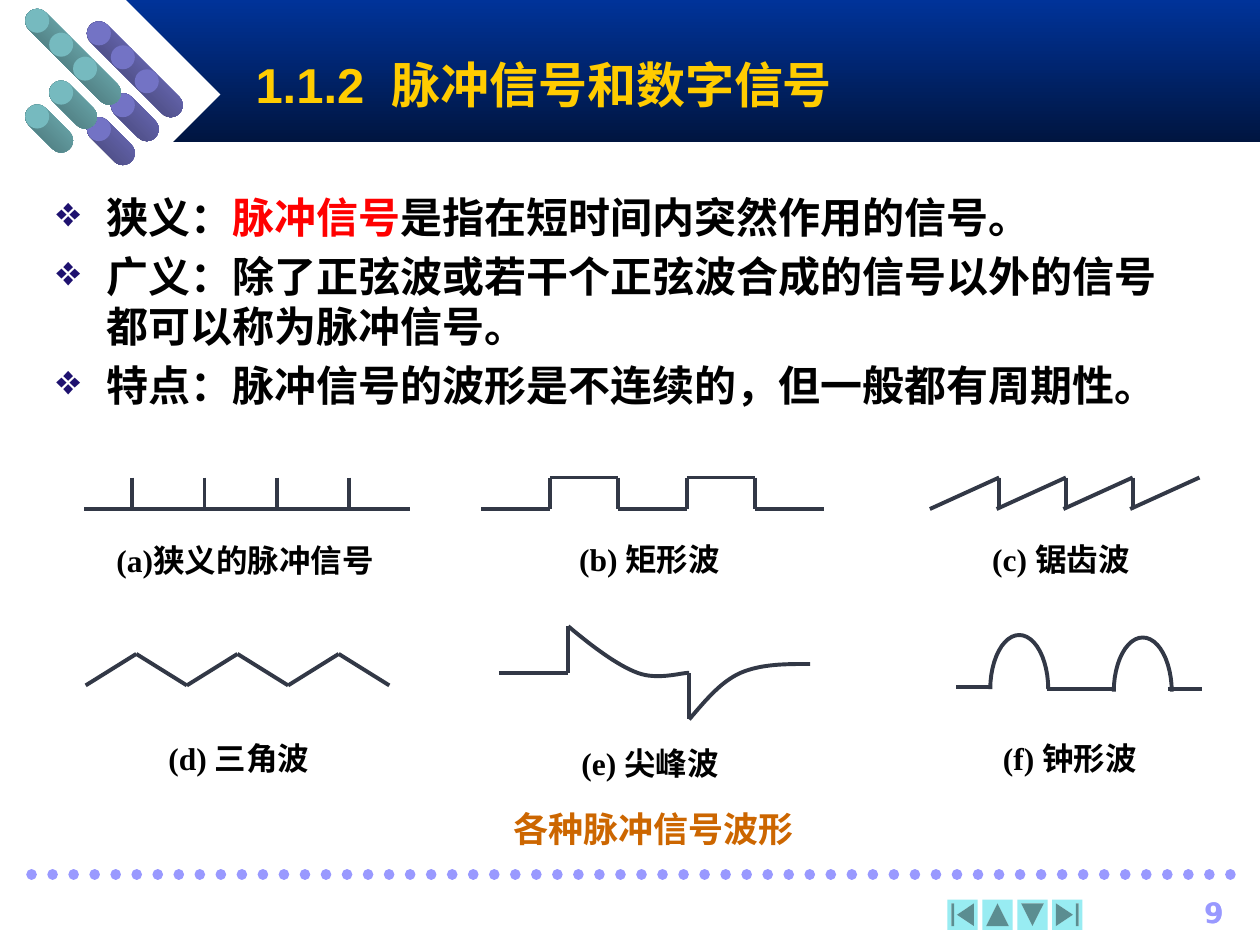
from math import cos, pi, sin, sqrt

from lxml import etree
from pptx import Presentation
from pptx.dml.color import RGBColor
from pptx.enum.dml import MSO_LINE
from pptx.enum.shapes import MSO_CONNECTOR, MSO_SHAPE
from pptx.enum.text import MSO_ANCHOR, PP_ALIGN
from pptx.oxml.ns import qn
from pptx.util import Inches, Pt

CJK_FONT = "Noto Sans CJK SC"
WAVE = "323846"
LILAC = "9999FF"
AQUA = "98ECF2"


def color(hex_text):
    return RGBColor.from_string(hex_text)


def add_filled(slide, kind, left, top, width, height, fill, fill_end=None, rotation=0):
    shape = slide.shapes.add_shape(kind, Inches(left), Inches(top), Inches(width), Inches(height))
    shape.shadow.inherit = False
    shape.rotation = rotation
    shape.line.fill.background()
    if fill_end:
        shape.fill.gradient()
        shape.fill.gradient_angle = 270
        for stop, stop_color in zip(shape.fill.gradient_stops, (fill, fill_end)):
            stop.color.rgb = color(stop_color)
            stop.position = 0 if stop_color == fill else 1
    else:
        shape.fill.solid()
        shape.fill.fore_color.rgb = color(fill)
    return shape


def add_line(slide, start, end, line_color=WAVE, width=2.25):
    points = [Inches(value) for value in (*start, *end)]
    line = slide.shapes.add_connector(MSO_CONNECTOR.STRAIGHT, *points)
    line.line.color.rgb = color(line_color)
    line.line.width = Pt(width)
    etree.SubElement(line._element.spPr, qn("a:effectLst"))
    return line


def add_lines(slide, points):
    for start, end in zip(points, points[1:]):
        add_line(slide, start, end)


def add_curve(slide, points):
    points = [(Inches(x), Inches(y)) for x, y in points]
    builder = slide.shapes.build_freeform(*points[0], scale=1.0)
    builder.add_line_segments(points[1:], close=False)
    shape = builder.convert_to_shape()
    shape.shadow.inherit = False
    shape.fill.background()
    shape.line.color.rgb = color(WAVE)
    shape.line.width = Pt(2.25)


def bezier(start, control_1, control_2, end, steps=16):
    points = []
    for step in range(steps + 1):
        t = step / steps
        weights = ((1 - t) ** 3, 3 * t * (1 - t) ** 2, 3 * t * t * (1 - t), t ** 3)
        corners = (start, control_1, control_2, end)
        points.append(tuple(sum(w * c[axis] for w, c in zip(weights, corners)) for axis in (0, 1)))
    return points


def add_frame(slide, left, top, width, height):
    box = slide.shapes.add_textbox(Inches(left), Inches(top), Inches(width), Inches(height))
    box.text_frame.word_wrap = True
    return box.text_frame


def add_run(paragraph, text, size, font_name, font_color, bold=True):
    run = paragraph.add_run()
    run.text = text
    run.font.size = Pt(size)
    run.font.bold = bold
    run.font.name = font_name
    run.font.color.rgb = color(font_color)
    etree.SubElement(run.font._element, qn("a:ea"), typeface=CJK_FONT)


def add_caption(slide, box, text, size=18, font_name="Times New Roman", font_color="000000"):
    paragraph = add_frame(slide, *box).paragraphs[0]
    paragraph.alignment = PP_ALIGN.CENTER
    paragraph.line_spacing = 0.9
    add_run(paragraph, text, size, font_name, font_color)


def add_header(slide, left, top, width, height):
    add_filled(slide, MSO_SHAPE.RECTANGLE, left, top, width, height, "003399", "001540")
    add_filled(slide, MSO_SHAPE.DIAMOND, left - 0.75, top, 1.5, 1.5, "FFFFFF")
    # Two arrowheads made of slanted cylinders
    size = 0.19
    length = size * (1 + sqrt(2))
    for x, y, face, shade in ((0.69, 0.17, "7373C5", "40406E"), (0.2, 0.07, "76BABF", "42686B")):
        for row, column in enumerate((0, 1, 2, 1, 0)):
            face_left, face_top = x + column * size, y + row * size
            body = add_filled(slide, MSO_SHAPE.ROUNDED_RECTANGLE, face_left + size - length / 2,
                              face_top + size / 2, length, size, face, shade, 45)
            body.adjustments[0] = 0.5
            add_filled(slide, MSO_SHAPE.OVAL, face_left, face_top, size, size, face)
    # Title
    frame = add_frame(slide, left + 0.93, top + 0.33, 5.03, 0.67)
    frame.vertical_anchor = MSO_ANCHOR.MIDDLE
    add_run(frame.paragraphs[0], "1.1.2  脉冲信号和数字信号", 28, "Arial", "FFCC00")


def add_body(slide, *box):
    items = (
        (("狭义：", "000000"), ("脉冲信号", "FF0000"), ("是指在短时间内突然作用的信号。", "000000")),
        (("广义：除了正弦波或若干个正弦波合成的信号以外的信号都可以称为脉冲信号。", "000000"),),
        (("特点：脉冲信号的波形是不连续的，但一般都有周期性。", "000000"),),
    )
    frame = add_frame(slide, *box)
    for index, runs in enumerate(items):
        paragraph = frame.add_paragraph() if index else frame.paragraphs[0]
        properties = paragraph._p.get_or_add_pPr()
        properties.set("marL", str(Inches(0.4)))
        properties.set("indent", str(-Inches(0.4)))
        bullet_color = etree.SubElement(properties, qn("a:buClr"))
        etree.SubElement(bullet_color, qn("a:srgbClr"), val="1E116F")
        etree.SubElement(properties, qn("a:buChar"), char="❖")
        if index:
            paragraph.space_before = Pt(4.8)
        for text, text_color in runs:
            add_run(paragraph, text, 24, "Arial", text_color)


def add_narrow_pulses(slide, left, top, width, height):
    add_line(slide, (left, top + height), (left + width, top + height))
    for index in range(4):
        x = left + 0.38 + index * 0.573
        add_line(slide, (x, top), (x, top + height))


def add_rectangular_wave(slide, left, top, width, height):
    points = []
    for index in range(5):
        y = top if index % 2 else top + height
        points += [(left + (index + side) * width / 5, y) for side in (0, 1)]
    add_lines(slide, points)


def add_sawtooth_wave(slide, left, top, width, height):
    ramp = 0.55
    step = (width - ramp) / 3
    for index in range(4):
        start = left + index * step
        peak = start + ramp
        add_line(slide, (start, top + height), (peak, top))
        if index < 3:
            add_line(slide, (peak, top), (peak, top + height))


def add_triangular_wave(slide, left, top, width, height):
    add_lines(slide, [(left + i * width / 6, top if i % 2 else top + height) for i in range(7)])


def add_spike_wave(slide, left, top, width, height):
    middle, bottom = top + height / 2, top + height
    rise, fall = left + 0.55, left + 1.51
    add_lines(slide, [(left, middle), (rise, middle), (rise, top)])
    dip = (rise + 0.55, middle)
    add_curve(slide, bezier((rise, top), (rise + 0.19, top + 0.16), (rise + 0.39, top + 0.31), dip)
              + bezier(dip, (rise + 0.71, middle + 0.06), (fall - 0.07, middle), (fall, middle))[1:])
    add_line(slide, (fall, middle), (fall, bottom))
    bend, end = (fall + 0.41, middle), (left + width, middle - 0.07)
    add_curve(slide, bezier((fall, bottom), (fall + 0.13, bottom - 0.15), (fall + 0.25, bottom - 0.3), bend)
              + bezier(bend, (fall + 0.57, end[1]), (end[0] - 0.19, end[1]), end)[1:])


def add_bell_wave(slide, left, top, width, height):
    base = top + height
    for start, end, y in ((0, 0.27, base - 0.02), (0.72, 1.27, base), (1.68, width, base)):
        add_line(slide, (left + start, y), (left + end, y))
    for x, y in ((0.27, base), (1.25, base + 0.02)):
        center = left + x + 0.23
        angles = [pi * step / 24 for step in range(25)]
        add_curve(slide, [(center - 0.23 * cos(a), y - height * sin(a)) for a in angles])


def add_footer(slide, left, top, width):
    dots = add_line(slide, (left, top), (left + width, top), LILAC, 6)
    dots.line.dash_style = MSO_LINE.ROUND_DOT
    dots.line._get_or_add_ln().set("cap", "rnd")
    # Navigation buttons
    buttons = ((MSO_SHAPE.ACTION_BUTTON_BEGINNING, 0), (MSO_SHAPE.ACTION_BUTTON_BACK_OR_PREVIOUS, 90),
               (MSO_SHAPE.ACTION_BUTTON_FORWARD_OR_NEXT, 90), (MSO_SHAPE.ACTION_BUTTON_END, 0))
    for index, (kind, rotation) in enumerate(buttons):
        add_filled(slide, kind, left + 7.27 + index * 0.277, top + 0.2, 0.24, 0.24, AQUA, rotation=rotation)
    # Page number, regular under bold
    for bold in (False, True):
        paragraph = add_frame(slide, left + 8.61, top + 0.12, 0.95, 0.33).paragraphs[0]
        paragraph.alignment = PP_ALIGN.RIGHT
        add_run(paragraph, "9", 16, "DejaVu Sans", LILAC, bold)


def main():
    presentation = Presentation()
    presentation.slide_width, presentation.slide_height = Inches(10), Inches(7.5)
    slide = presentation.slides.add_slide(presentation.slide_layouts[6])
    add_header(slide, 1, 0, 9, 1.13)
    add_footer(slide, 0.25, 6.94, 9.58)
    add_body(slide, 0.35, 1.47, 9.23, 2.26)
    # Waveforms with their captions
    waves = (
        (add_narrow_pulses, (0.67, 3.79, 2.58, 0.25), "(a)狭义的脉冲信号", (0.79, 4.28, 2.31, 0.46)),
        (add_rectangular_wave, (3.82, 3.79, 2.72, 0.25), "(b) 矩形波", (3.93, 4.27, 2.45, 0.46)),
        (add_sawtooth_wave, (7.38, 3.79, 2.14, 0.25), "(c) 锯齿波", (7.47, 4.27, 1.9, 0.58)),
        (add_triangular_wave, (0.68, 5.19, 2.41, 0.25), "(d) 三角波", (0.67, 5.85, 2.45, 0.46)),
        (add_spike_wave, (3.96, 4.97, 2.47, 0.74), "(e) 尖峰波", (4.07, 5.89, 2.18, 0.54)),
        (add_bell_wave, (7.59, 5.04, 1.95, 0.43), "(f) 钟形波", (7.4, 5.85, 2.18, 0.54)),
    )
    for add_wave, wave_box, text, caption_box in waves:
        add_wave(slide, *wave_box)
        add_caption(slide, caption_box, text)
    add_caption(slide, (2.19, 6.4, 5.99, 0.42), "各种脉冲信号波形", 20, CJK_FONT, "CC6600")
    presentation.save("out.pptx")


if __name__ == "__main__":
    main()
